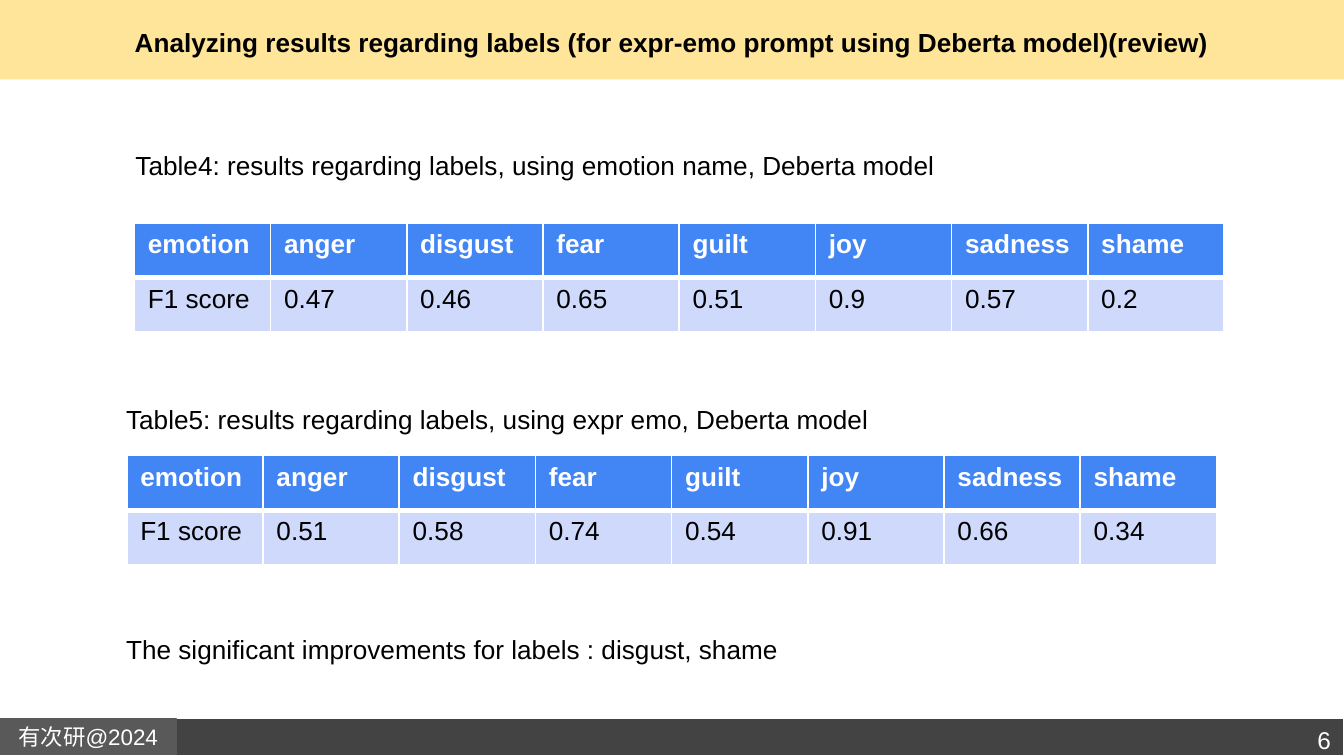
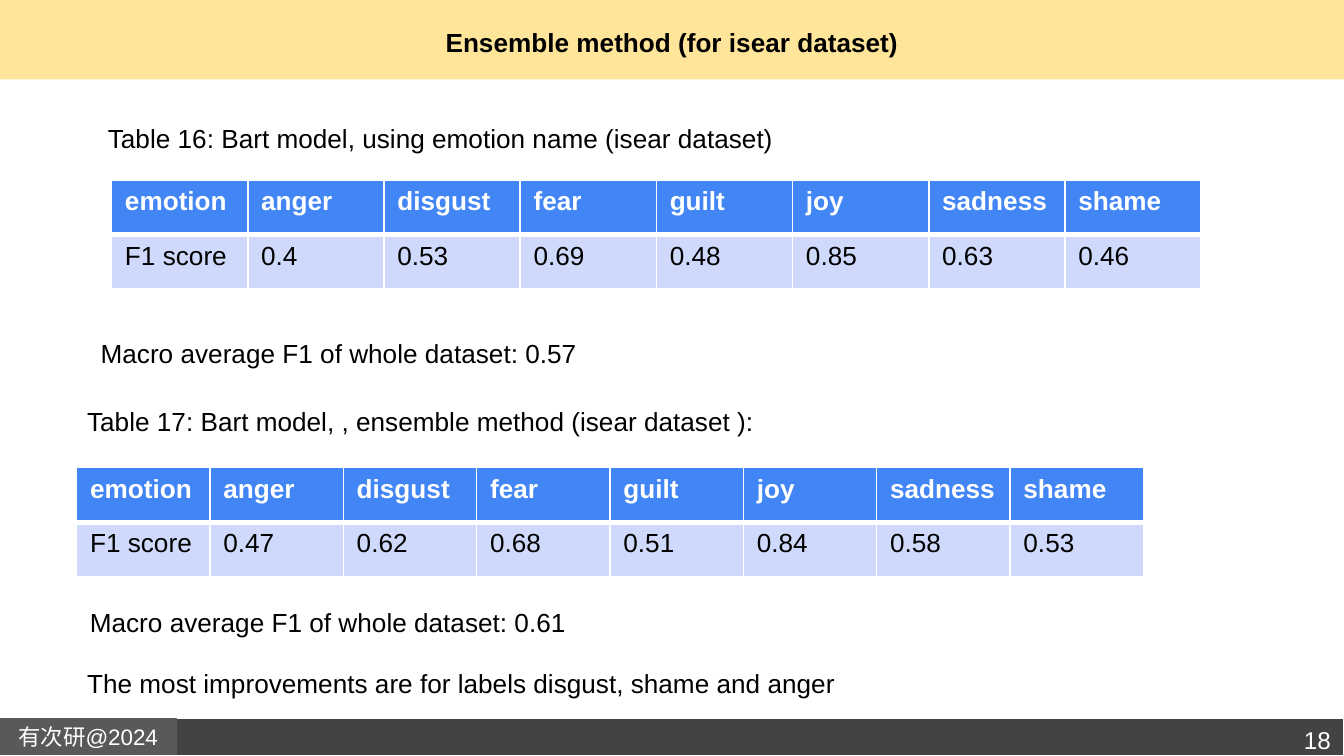
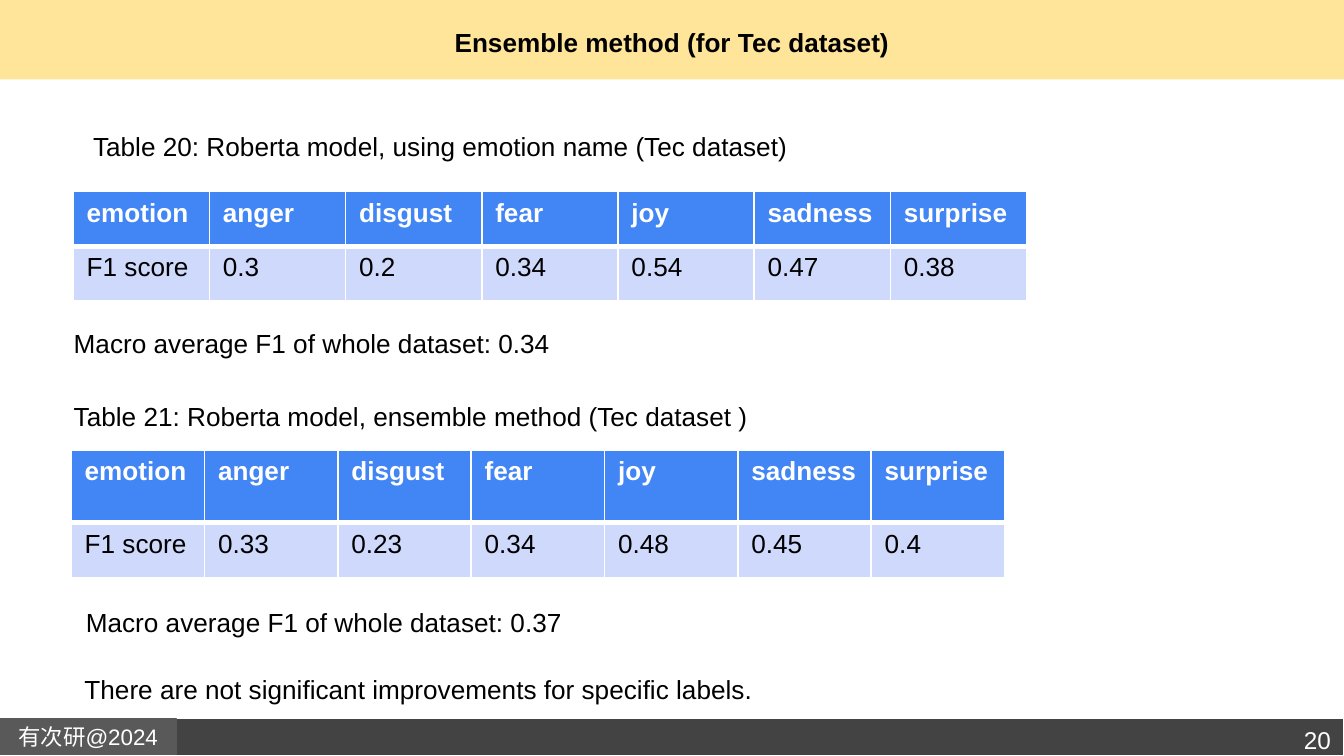
from dataclasses import dataclass

import pptx
import pptx.dml.color
import pptx.enum.shapes
import pptx.enum.text
import pptx.oxml
import pptx.oxml.ns
import pptx.util

ALIGN = pptx.enum.text.PP_ALIGN
ANCHOR = pptx.enum.text.MSO_ANCHOR
AUTO_SIZE = pptx.enum.text.MSO_AUTO_SIZE

WIDTH, HEIGHT = pptx.util.Inches(10), pptx.util.Inches(5.625)
COLUMNS, ROWS = 80, 45

FONT = "Arial"
BLACK, WHITE = "000000", "FFFFFF"
BAND, FOOTER, BADGE = "FFE599", "434343", "595959"
HEADER_FILL, SCORE_FILL = "4285F4", "CFD9FB"

ROW_HEIGHT = 3.25
WIDE, NARROW = 8.11, 7.94
ISEAR = ("anger", "disgust", "fear", "guilt", "joy", "sadness", "shame")
TEC = ("anger", "disgust", "fear", "joy", "sadness", "surprise")


@dataclass(frozen=True)
class Box:
    """A place on the slide, in grid columns and rows."""
    x: float
    y: float
    w: float
    h: float = 2.7

    def emu(self) -> tuple[int, int, int, int]:
        return across(self.x), down(self.y), across(self.w), down(self.h)


@dataclass(frozen=True)
class Style:
    size: float = 14
    color: str = BLACK
    bold: bool = False
    align: ALIGN = ALIGN.LEFT


@dataclass(frozen=True)
class Note:
    text: str
    box: Box
    wrap: bool = False


@dataclass(frozen=True)
class ScoreTable:
    x: float
    y: float
    emotions: tuple[str, ...]
    scores: tuple[float, ...]
    column: float = WIDE
    header: float = ROW_HEIGHT


@dataclass(frozen=True)
class Page:
    number: int
    title: str
    items: tuple[Note | ScoreTable, ...]


TITLE_STYLE = Style(bold=True, align=ALIGN.CENTER)
BADGE_STYLE = Style(12, WHITE, align=ALIGN.CENTER)
NUMBER_STYLE = Style(13, WHITE, align=ALIGN.RIGHT)
HEADER_STYLE = Style(color=WHITE, bold=True)
BODY_STYLE = Style()

PAGES = (
    Page(6, "Analyzing results regarding labels (for expr-emo prompt using Deberta model)(review)", (
        Note("Table4: results regarding labels, using emotion name, Deberta model",
             Box(7.28, 8.48, 55.52, 4.56), wrap=True),
        ScoreTable(8, 13.28, ISEAR, (0.47, 0.46, 0.65, 0.51, 0.9, 0.57, 0.2)),
        Note("Table5: results regarding labels, using expr emo, Deberta model",
             Box(6.72, 23.6, 46.16)),
        ScoreTable(7.55, 27.12, ISEAR, (0.51, 0.58, 0.74, 0.54, 0.91, 0.66, 0.34)),
        Note("The significant improvements for labels : disgust, shame",
             Box(6.72, 37.28, 41.12)),
    )),
    Page(18, "Ensemble method (for isear dataset)", (
        Note("Table 16: Bart model, using emotion name (isear dataset)",
             Box(5.63, 6.88, 61.73, 4.56), wrap=True),
        ScoreTable(6.64, 10.72, ISEAR, (0.4, 0.53, 0.69, 0.48, 0.85, 0.63, 0.46)),
        Note("Macro average F1 of whole dataset: 0.57", Box(5.2, 19.68, 30.48)),
        Note("Table 17: Bart model, , ensemble method (isear dataset ):",
             Box(4.4, 23.76, 41.6)),
        ScoreTable(4.56, 27.84, ISEAR, (0.47, 0.62, 0.68, 0.51, 0.84, 0.58, 0.53), NARROW),
        Note("Macro average F1 of whole dataset: 0.61", Box(4.56, 35.68, 30.08)),
        Note("The most improvements are for labels disgust, shame and anger",
             Box(4.4, 39.36, 58.88), wrap=True),
    )),
    Page(20, "Ensemble method (for Tec dataset)", (
        Note("Table 20: Roberta model, using emotion name (Tec dataset)",
             Box(4.75, 7.36, 48.93), wrap=True),
        ScoreTable(4.36, 11.4, TEC, (0.3, 0.2, 0.34, 0.54, 0.47, 0.38)),
        Note("Macro average F1 of whole dataset: 0.34", Box(3.6, 19.12, 30.08)),
        Note("Table 21: Roberta model, ensemble method (Tec dataset )",
             Box(3.6, 23.44, 42.24)),
        ScoreTable(4.24, 26.8, TEC, (0.33, 0.23, 0.34, 0.48, 0.45, 0.4), NARROW, 4.32),
        Note("Macro average F1 of whole dataset: 0.37", Box(4.32, 35.68, 30.08)),
        Note("There are not significant improvements for specific labels.",
             Box(4.24, 39.68, 48.72), wrap=True),
    )),
)


def across(columns: float) -> int:
    return round(WIDTH * columns / COLUMNS)


def down(rows: float) -> int:
    return round(HEIGHT * rows / ROWS)


def rgb(color: str) -> pptx.dml.color.RGBColor:
    return pptx.dml.color.RGBColor.from_string(color)


def write(tf, text: str, style: Style) -> None:
    p = tf.paragraphs[0]
    p.text = text
    p.alignment = style.align
    p.font.name = FONT
    p.font.size = pptx.util.Pt(style.size)
    p.font.bold = style.bold
    p.font.color.rgb = rgb(style.color)


def pad_evenly(tf) -> None:
    tf.margin_left = tf.margin_right = tf.margin_top = tf.margin_bottom = pptx.util.Inches(0.1)


def add_bar(slide, box: Box, fill: str, line: str | None = None):
    sp = slide.shapes.add_shape(pptx.enum.shapes.MSO_SHAPE.RECTANGLE, *box.emu())
    sp.shadow.inherit = False
    sp.fill.solid()
    sp.fill.fore_color.rgb = rgb(fill)
    if line:
        sp.line.color.rgb = rgb(line)
        sp.line.width = pptx.util.Pt(0.75)
    else:
        sp.line.fill.background()
    return sp


def add_text(slide, text: str, box: Box, style: Style, wrap: bool = True):
    tf = slide.shapes.add_textbox(*box.emu()).text_frame
    tf.word_wrap = wrap
    write(tf, text, style)
    return tf


def add_frame(slide, page: Page) -> None:
    """Draw the title band, the footer and their text."""
    add_bar(slide, Box(0, 0, COLUMNS, 4.72), BAND)
    add_bar(slide, Box(0, 42.75, COLUMNS, 2.25), FOOTER, WHITE)
    badge = add_bar(slide, Box(0, 42.8, 10.5, 2.1), BADGE, BADGE).text_frame
    badge.vertical_anchor = ANCHOR.MIDDLE
    write(badge, "有次研@2024", BADGE_STYLE)
    title = add_text(slide, page.title, Box(2.72, 0, 74.56, 5.04), TITLE_STYLE)
    title.vertical_anchor = ANCHOR.MIDDLE
    number = add_text(slide, str(page.number), Box(71.6, 42.4, 8.4, 2.96), NUMBER_STYLE)
    for tf in (badge, title, number):
        pad_evenly(tf)


def add_note(slide, note: Note) -> None:
    tf = add_text(slide, note.text, note.box, BODY_STYLE, note.wrap)
    tf.auto_size = AUTO_SIZE.SHAPE_TO_FIT_TEXT


def set_borders(cell, top: float, bottom: float) -> None:
    """Draw white cell borders; must run before the cell is filled."""
    tc_pr = cell._tc.get_or_add_tcPr()
    for side, points in (("L", 1), ("R", 1), ("T", top), ("B", bottom)):
        tc_pr.append(pptx.oxml.parse_xml(
            f'<a:ln{side} {pptx.oxml.ns.nsdecls("a")} w="{pptx.util.Pt(points)}">'
            f'<a:solidFill><a:srgbClr val="{WHITE}"/></a:solidFill></a:ln{side}>'))


def add_scores(slide, table: ScoreTable) -> None:
    lines = (
        (("emotion", *table.emotions), HEADER_STYLE, HEADER_FILL, 1, 3),
        (("F1 score", *map(str, table.scores)), BODY_STYLE, SCORE_FILL, 3, 1),
    )
    count = len(table.emotions) + 1
    box = Box(table.x, table.y, count * table.column, table.header + ROW_HEIGHT)
    grid = slide.shapes.add_table(len(lines), count, *box.emu()).table
    grid.horz_banding = False
    for column in grid.columns:
        column.width = across(table.column)
    for row, height in zip(grid.rows, (table.header, ROW_HEIGHT)):
        row.height = down(height)
    for row, (texts, style, fill, top, bottom) in zip(grid.rows, lines):
        for cell, text in zip(row.cells, texts):
            write(cell.text_frame, text, style)
            set_borders(cell, top, bottom)
            cell.fill.solid()
            cell.fill.fore_color.rgb = rgb(fill)


def main() -> None:
    prs = pptx.Presentation()
    prs.slide_width, prs.slide_height = WIDTH, HEIGHT
    for page in PAGES:
        slide = prs.slides.add_slide(prs.slide_layouts[6])
        add_frame(slide, page)
        for item in page.items:
            if isinstance(item, Note):
                add_note(slide, item)
            else:
                add_scores(slide, item)
    prs.save("out.pptx")


if __name__ == "__main__":
    main()
